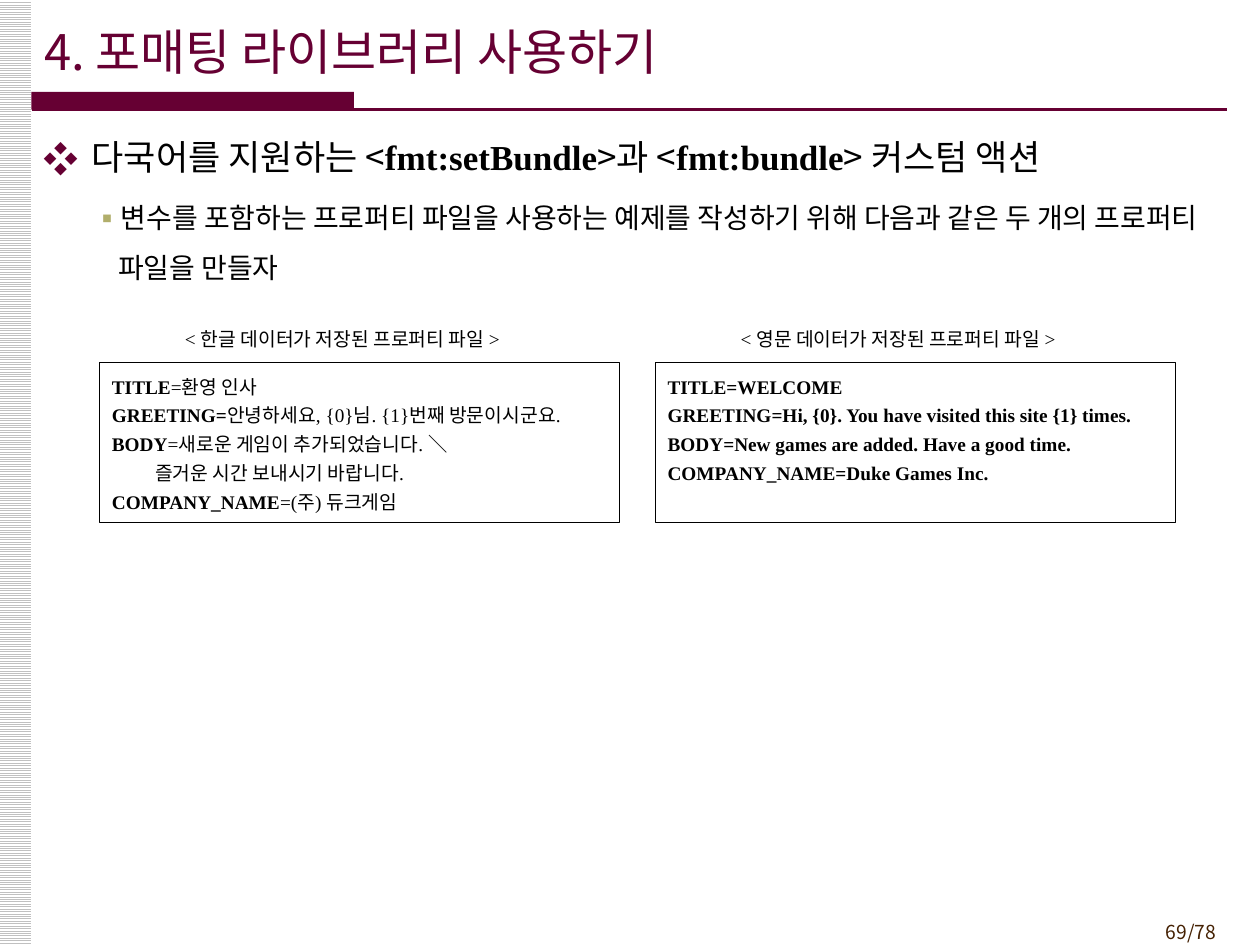
from lxml.etree import SubElement
from pptx import Presentation
from pptx.dml.color import RGBColor
from pptx.enum.dml import MSO_PATTERN
from pptx.enum.shapes import MSO_CONNECTOR, MSO_SHAPE
from pptx.enum.text import MSO_ANCHOR, PP_ALIGN
from pptx.oxml.ns import qn
from pptx.util import Inches, Pt

COLORS = {"wine": "660033", "olive": "B1AE6B", "brown": "452103",
          "black": "000000", "white": "FFFFFF", "gray": "C0C0C0"}
SANS, SERIF = "Noto Sans CJK KR", "Times New Roman"


def rgb(name):
    return RGBColor.from_string(COLORS[name])


class SlideBuilder:
    def __init__(self, deck):
        self.page = deck.slides.add_slide(deck.slide_layouts[5])

    def run(self, para, text, size, font=SANS, color="black", bold=False):
        span = para.add_run()
        span.text = text
        span.font.size = Pt(size)
        span.font.name = font
        span.font.bold = bold
        span.font.color.rgb = rgb(color)
        # Hangul always uses the sans face
        SubElement(span.font._element, qn("a:ea"), typeface=SANS)

    def bullet(self, para, char, color, left, hanging):
        props = para._p.get_or_add_pPr()
        props.set("marL", str(Inches(left)))
        props.set("indent", str(-Inches(hanging)))
        fill = SubElement(props, qn("a:buClr"))
        SubElement(fill, qn("a:srgbClr"), val=COLORS[color])
        SubElement(props, qn("a:buFont"), typeface=SANS)
        SubElement(props, qn("a:buChar"), char=char)

    def title(self, text, left, top, width, height):
        box = self.page.shapes.title
        box.left, box.top = Inches(left), Inches(top)
        box.width, box.height = Inches(width), Inches(height)
        box.text_frame.vertical_anchor = MSO_ANCHOR.MIDDLE
        para = box.text_frame.paragraphs[0]
        para.alignment = PP_ALIGN.LEFT
        self.run(para, text, 28, color="wine")

    def text_box(self, left, top, width, height):
        box = self.page.shapes.add_textbox(
            Inches(left), Inches(top), Inches(width), Inches(height))
        box.text_frame.word_wrap = True
        return box.text_frame

    def rectangle(self, left, top, width, height, fill=None, line=None):
        box = self.page.shapes.add_shape(
            MSO_SHAPE.RECTANGLE, Inches(left), Inches(top),
            Inches(width), Inches(height))
        box.shadow.inherit = False
        if fill:
            box.fill.solid()
            box.fill.fore_color.rgb = rgb(fill)
        else:
            box.fill.background()
        if line:
            box.line.color.rgb = rgb(line)
            box.line.width = Pt(0.75)
        else:
            box.line.fill.background()
        return box

    def striped_band(self, left, top, width, height):
        fill = self.rectangle(left, top, width, height).fill
        fill.patterned()
        fill.pattern = MSO_PATTERN.LIGHT_HORIZONTAL
        fill.fore_color.rgb = rgb("gray")
        fill.back_color.rgb = rgb("white")

    def rule(self, left, right, y):
        line = self.page.shapes.add_connector(
            MSO_CONNECTOR.STRAIGHT, Inches(left), Inches(y),
            Inches(right), Inches(y))
        line.line.color.rgb = rgb("wine")
        line.line.width = Pt(1.5)
        SubElement(line._element.spPr, qn("a:effectLst"))

    def properties_file(self, left, caption, lines):
        """Captioned frame; each line is a bold part and a regular part."""
        frame = self.rectangle(left, 2.88, 4.13, 1.27, line="black").text_frame
        frame.word_wrap = True
        frame.vertical_anchor = MSO_ANCHOR.TOP
        for index, (strong, plain) in enumerate(lines):
            para = frame.add_paragraph() if index else frame.paragraphs[0]
            para.alignment = PP_ALIGN.LEFT
            para.line_spacing = 1.25
            for text, bold in ((strong, True), (plain, False)):
                if text:
                    self.run(para, text, 11, SERIF, bold=bold)
        label = self.rectangle(left + 0.58, 2.55, 2.9, 0.28, fill="white")
        label.text_frame.word_wrap = True
        label.text_frame.vertical_anchor = MSO_ANCHOR.TOP
        para = label.text_frame.paragraphs[0]
        para.alignment = PP_ALIGN.LEFT
        self.run(para, caption, 11, SERIF)


def main():
    deck = Presentation()
    deck.slide_width, deck.slide_height = Inches(10), Inches(7.5)
    slide = SlideBuilder(deck)

    slide.striped_band(-0.01, 0, 0.26, 7.5)
    slide.rectangle(0.25, 0.73, 2.56, 0.14, fill="wine")
    slide.rule(0.25, 9.74, 0.87)
    slide.title("4. 포매팅 라이브러리 사용하기", 0.25, 0.09, 9.25, 0.63)

    body = slide.text_box(0.25, 1.03, 9.5, 1.4)
    heading = body.paragraphs[0]
    slide.bullet(heading, "❖", "wine", 0.38, 0.38)
    for text, is_tag in (("다국어를 지원하는 <", False), ("fmt:setBundle", True),
                         (">과 <", False), ("fmt:bundle", True),
                         ("> 커스텀 액션", False)):
        slide.run(heading, text, 20, SERIF if is_tag else SANS, bold=is_tag)
    detail = body.add_paragraph()
    slide.bullet(detail, "▪", "olive", 0.59, 0.2)
    detail.line_spacing = 1.5
    detail.space_before, detail.space_after = Pt(3.2), Pt(3)
    slide.run(detail, "변수를 포함하는 프로퍼티 파일을 사용하는 예제를 작성하기 위해 "
              "다음과 같은 두 개의 프로퍼티 파일을 만들자", 16)

    slide.properties_file(0.79, "< 한글 데이터가 저장된 프로퍼티 파일 >", [
        ("TITLE", "=환영 인사"),
        ("GREETING=", "안녕하세요, {0}님. {1}번째 방문이시군요."),
        ("BODY", "=새로운 게임이 추가되었습니다. ＼"),
        ("", "          즐거운 시간 보내시기 바랍니다."),
        ("COMPANY_NAME", "=(주) 듀크게임"),
    ])
    slide.properties_file(5.2, "< 영문 데이터가 저장된 프로퍼티 파일 >", [
        ("TITLE=WELCOME", ""),
        ("GREETING=Hi, {0}. You have visited this site {1} times.", ""),
        ("BODY=New games are added. Have a good time.", ""),
        ("COMPANY_NAME=Duke Games Inc.", ""),
    ])

    number = slide.text_box(8.92, 7.25, 0.83, 0.29)
    number.vertical_anchor = MSO_ANCHOR.MIDDLE
    number.paragraphs[0].alignment = PP_ALIGN.RIGHT
    slide.run(number.paragraphs[0], "69/78", 11, color="brown")

    deck.save("out.pptx")


if __name__ == "__main__":
    main()
